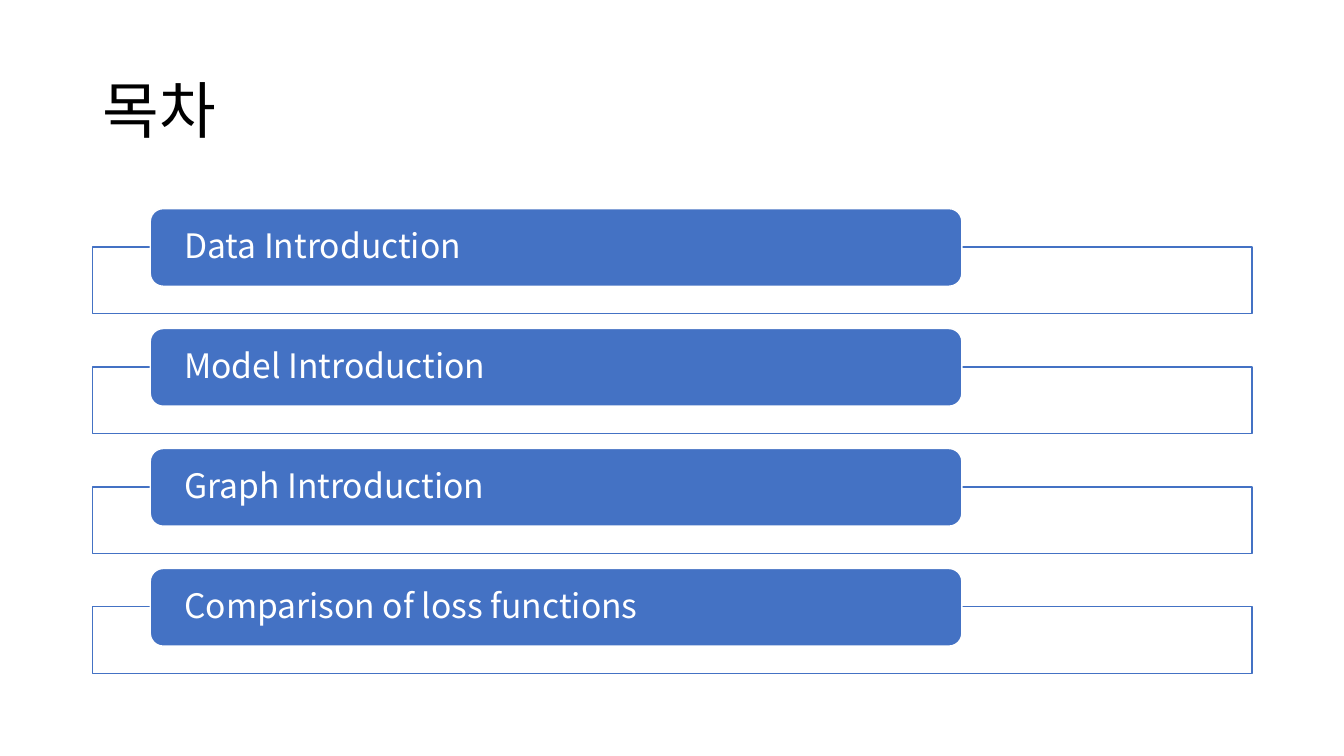
from dataclasses import dataclass

from lxml import etree
from pptx import Presentation
from pptx.dml.color import RGBColor
from pptx.enum.shapes import MSO_SHAPE
from pptx.enum.text import MSO_ANCHOR, PP_ALIGN
from pptx.oxml.ns import qn
from pptx.util import Inches, Pt

RECTANGLE = MSO_SHAPE.RECTANGLE
ROUNDED_RECTANGLE = MSO_SHAPE.ROUNDED_RECTANGLE
MIDDLE = MSO_ANCHOR.MIDDLE
LEFT = PP_ALIGN.LEFT

WHITE = RGBColor(0xFF, 0xFF, 0xFF)
BLACK = RGBColor(0x00, 0x00, 0x00)
BLUE = RGBColor(0x44, 0x72, 0xC4)
FONT_NAME = "Noto Sans CJK KR"

FIRST_LABEL_TOP = 2.07
ROW_PITCH = 1.19
FRAME_OFFSET = 0.38
FRAME_OPACITY = 90


@dataclass(frozen=True)
class Box:
    left: float
    top: float
    width: float
    height: float

    def lengths(self) -> tuple:
        return tuple(map(Inches, (self.left, self.top, self.width, self.height)))


@dataclass(frozen=True)
class AgendaItem:
    label: str
    top: float


TITLE_BOX = Box(0.92, 0.4, 11.5, 1.45)
LABELS = (
    "Data Introduction",
    "Model Introduction",
    "Graph Introduction",
    "Comparison of loss functions",
)
AGENDA = [
    AgendaItem(label, FIRST_LABEL_TOP + index * ROW_PITCH)
    for index, label in enumerate(LABELS)
]


def write_text(shape, text: str, size: float, color: RGBColor,
               side_inset: float, vertical_inset: float) -> None:
    frame = shape.text_frame
    frame.word_wrap = True
    frame.vertical_anchor = MIDDLE
    frame.margin_left = frame.margin_right = Inches(side_inset)
    frame.margin_top = frame.margin_bottom = Inches(vertical_inset)
    paragraph = frame.paragraphs[0]
    paragraph.text = text
    paragraph.alignment = LEFT
    paragraph.line_spacing = 0.9
    paragraph.font.size = Pt(size)
    paragraph.font.color.rgb = color
    paragraph.font.name = FONT_NAME
    properties = next(paragraph._p.iter(qn("a:defRPr")))
    etree.SubElement(properties, qn("a:ea"), typeface=FONT_NAME)


def add_panel(slide, kind, box: Box, fill: RGBColor, line: RGBColor):
    shape = slide.shapes.add_shape(kind, *box.lengths())
    shape.shadow.inherit = False
    shape.fill.solid()
    shape.fill.fore_color.rgb = fill
    shape.line.color.rgb = line
    shape.line.width = Pt(1)
    return shape


def add_agenda_item(slide, item: AgendaItem) -> None:
    frame_box = Box(0.92, item.top + FRAME_OFFSET, 11.5, 0.66)
    frame = add_panel(slide, RECTANGLE, frame_box, WHITE, BLUE)
    fill_color = next(frame._element.spPr.iter(qn("a:srgbClr")))
    etree.SubElement(fill_color, qn("a:alpha"), val=str(FRAME_OPACITY * 1000))

    label_box = Box(1.49, item.top, 8.05, 0.77)
    label = add_panel(slide, ROUNDED_RECTANGLE, label_box, BLUE, WHITE)
    write_text(label, item.label, 24, WHITE, 0.3, 0)


def main() -> None:
    presentation = Presentation()
    presentation.slide_width = Inches(13.33)
    presentation.slide_height = Inches(7.5)
    slide = presentation.slides.add_slide(presentation.slide_layouts[6])

    title = slide.shapes.add_textbox(*TITLE_BOX.lengths())
    write_text(title, "목차", 44, BLACK, 0.1, 0.05)
    for item in AGENDA:
        add_agenda_item(slide, item)

    presentation.save("out.pptx")


if __name__ == "__main__":
    main()
